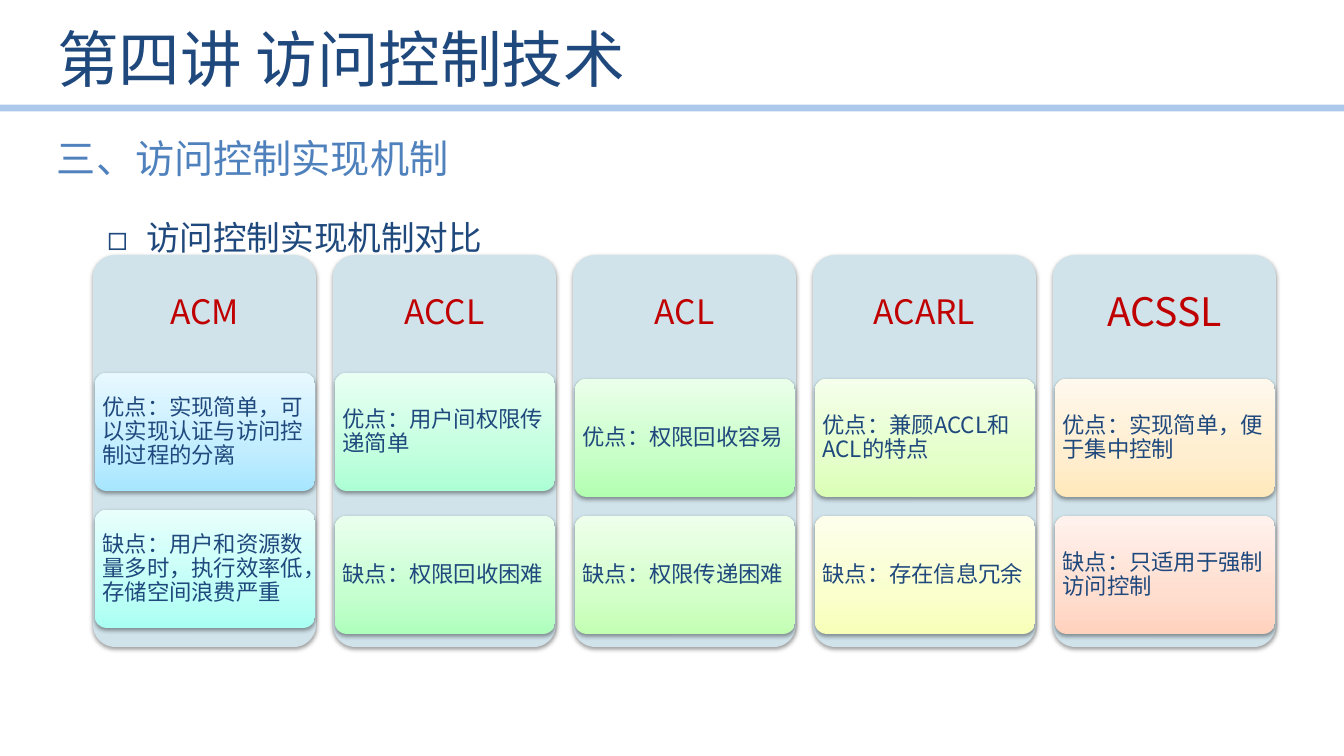
from typing import NamedTuple

from lxml import etree
from pptx import Presentation
from pptx.dml.color import RGBColor
from pptx.enum.shapes import MSO_CONNECTOR, MSO_SHAPE
from pptx.enum.text import MSO_ANCHOR, MSO_AUTO_SIZE, PP_ALIGN
from pptx.oxml.ns import qn
from pptx.util import Emu, Pt

STRAIGHT = MSO_CONNECTOR.STRAIGHT
ROUNDED = MSO_SHAPE.ROUNDED_RECTANGLE
MIDDLE, TOP = MSO_ANCHOR.MIDDLE, MSO_ANCHOR.TOP
LEFT, CENTER, JUSTIFY = PP_ALIGN.LEFT, PP_ALIGN.CENTER, PP_ALIGN.JUSTIFY
NO_FIT, GROW = MSO_AUTO_SIZE.NONE, MSO_AUTO_SIZE.SHAPE_TO_FIT_TEXT

FONT = "Noto Sans CJK SC"
NAVY, BLUE, RED = "1F497D", "4F81BD", "C00000"
PANEL, RULE = "D0E3EA", "8EB4E3"

# Column layout in px
FIRST_LEFT, COLUMN_STEP, COLUMN_TOP = 93, 240, 255
COLUMN_WIDTH, COLUMN_HEIGHT, HEADER_HEIGHT = 223, 392, 118
CARD_INDENT, CARD_WIDTH, CARD_HEIGHT = 2, 220, 118


class Card(NamedTuple):
    text: str
    top: int
    shades: tuple[str, str, str]  # from the bottom up


class Mechanism(NamedTuple):
    name: str
    cards: tuple[Card, Card]
    name_size: int = 24


MECHANISMS = [
    Mechanism("ACM", (
        Card("优点：实现简单，可以实现认证与访问控制过程的分离", 373, ("A7E6FF", "C1EDFF", "E7F8FF")),
        Card("缺点：用户和资源数量多时，执行效率低，存储空间浪费严重", 510, ("AAFFF3", "C2FFF7", "E8FFFC")))),
    Mechanism("ACCL", (
        Card("优点：用户间权限传递简单", 373, ("ACFFD4", "C4FFE0", "E9FFF3")),
        Card("缺点：权限回收困难", 516, ("AFFFBD", "C6FFD0", "E9FFED")))),
    Mechanism("ACL", (
        Card("优点：权限回收容易", 379, ("B2FFB1", "C8FFC8", "EAFFEA")),
        Card("缺点：权限传递困难", 516, ("C3FFB3", "D4FFCA", "EEFFEB")))),
    Mechanism("ACARL", (
        Card("优点：兼顾ACCL和ACL的特点", 379, ("DBFFB6", "E5FFCB", "F5FFEB")),
        Card("缺点：存在信息冗余", 516, ("F8FFB8", "FAFFCD", "FDFFEC")))),
    Mechanism("ACSSL", (
        Card("优点：实现简单，便于集中控制", 379, ("FFE8BB", "FFEECF", "FFF8ED")),
        Card("缺点：只适用于强制访问控制", 516, ("FFD2BD", "FFDED0", "FFF2ED"))), 28),
]


def px(length: int) -> Emu:
    return Emu(round(length * 914400 / 100.8))


def rgb(colour: str) -> RGBColor:
    return RGBColor.from_string(colour)


def place(shape, left: int, top: int, width: int, height: int) -> None:
    shape.left, shape.top = px(left), px(top)
    shape.width, shape.height = px(width), px(height)


def write(shape, text: str, size: int, colour: str, align=LEFT, anchor=MIDDLE,
          spacing: float = 1.0):
    frame = shape.text_frame
    frame.word_wrap, frame.auto_size = True, NO_FIT
    frame.vertical_anchor = anchor
    frame.text = text
    paragraph = frame.paragraphs[0]
    paragraph.alignment, paragraph.line_spacing = align, spacing
    paragraph.space_before = Pt(0)
    return paragraph_style(paragraph, size, colour)


def paragraph_style(paragraph, size: int, colour: str):
    font = paragraph.font
    font.size, font.name = Pt(size), FONT
    font.color.rgb = rgb(colour)
    defaults = paragraph._p.pPr.find(qn("a:defRPr"))
    etree.SubElement(defaults, qn("a:ea"), typeface=FONT)
    return paragraph


def inset(shape, across: int, down: int) -> None:
    frame = shape.text_frame
    frame.margin_left = frame.margin_right = px(across)
    frame.margin_top = frame.margin_bottom = px(down)


def add_rounded(slide, left: int, top: int, width: int, height: int):
    shape = slide.shapes.add_shape(ROUNDED, 0, 0, 0, 0)
    place(shape, left, top, width, height)
    shape.adjustments[0] = 0.1
    shape.line.fill.background()
    # Soft shadow straight below
    effects = etree.SubElement(shape._element.spPr, qn("a:effectLst"))
    shadow = etree.SubElement(effects, qn("a:outerShdw"), blurRad="40000",
                              dist="20000", dir="5400000", rotWithShape="0")
    black = etree.SubElement(shadow, qn("a:srgbClr"), val="000000")
    etree.SubElement(black, qn("a:alpha"), val="38000")
    return shape


def shade(shape, shades: tuple[str, str, str]) -> None:
    shape.fill.gradient()
    shape.fill.gradient_angle = 90
    stops = shape._element.spPr.find(qn("a:gradFill")).find(qn("a:gsLst"))
    stops.clear()
    for percent, colour in zip((0, 35, 100), shades):
        stop = etree.SubElement(stops, qn("a:gs"), pos=str(percent * 1000))
        etree.SubElement(stop, qn("a:srgbClr"), val=colour)


def add_mechanism(slide, mechanism: Mechanism, left: int) -> None:
    panel = add_rounded(slide, left, COLUMN_TOP, COLUMN_WIDTH, COLUMN_HEIGHT)
    panel.fill.solid()
    panel.fill.fore_color.rgb = rgb(PANEL)

    header = slide.shapes.add_textbox(0, 0, 0, 0)
    place(header, left, COLUMN_TOP, COLUMN_WIDTH, HEADER_HEIGHT)
    write(header, mechanism.name, mechanism.name_size, RED, CENTER, spacing=0.9)
    inset(header, 10, 10)

    for card in mechanism.cards:
        box = add_rounded(slide, left + CARD_INDENT, card.top, CARD_WIDTH, CARD_HEIGHT)
        shade(box, card.shades)
        write(box, card.text, 16, NAVY, spacing=0.9)
        inset(box, 4, 3)


def add_heading_rule(slide) -> None:
    rule = slide.shapes.add_connector(STRAIGHT, 0, px(108), px(1344), px(108))
    rule.line.width = Pt(4.75)
    rule.line.color.rgb = rgb(RULE)
    colour = rule._element.spPr.find(".//" + qn("a:srgbClr"))
    etree.SubElement(colour, qn("a:alpha"), val="73000")
    etree.SubElement(rule._element.spPr, qn("a:effectLst"))


def add_topic(body) -> None:
    place(body, 47, 204, 1238, 445)
    body.text_frame.text = "访问控制实现机制对比"
    properties = body.text_frame.paragraphs[0]._p.get_or_add_pPr()
    properties.set("marL", str(px(89)))
    properties.set("indent", str(px(-39)))
    etree.SubElement(properties, qn("a:buFont"), typeface=FONT)
    etree.SubElement(properties, qn("a:buChar"), char="◻")
    paragraph = body.text_frame.paragraphs[0]
    paragraph.level = 1
    paragraph.alignment, paragraph.line_spacing = JUSTIFY, 1.2
    paragraph.space_before = Pt(0)
    paragraph_style(paragraph, 24, NAVY)
    body.text_frame.auto_size, body.text_frame.vertical_anchor = NO_FIT, TOP


def main() -> None:
    deck = Presentation()
    deck.slide_width, deck.slide_height = px(1344), px(756)
    slide = deck.slides.add_slide(deck.slide_layouts[1])
    title, body = slide.placeholders

    # Headings
    add_heading_rule(slide)
    place(title, 47, 9, 1111, 98)
    write(title, "第四讲 访问控制技术", 44, NAVY)
    add_topic(body)
    section = slide.shapes.add_textbox(0, 0, 0, 0)
    place(section, 47, 129, 416, 57)
    write(section, "三、访问控制实现机制", 28, BLUE, anchor=TOP)
    section.text_frame.word_wrap, section.text_frame.auto_size = False, GROW

    # Comparison columns
    for column, mechanism in enumerate(MECHANISMS):
        add_mechanism(slide, mechanism, FIRST_LEFT + column * COLUMN_STEP)

    deck.save("out.pptx")


if __name__ == "__main__":
    main()
